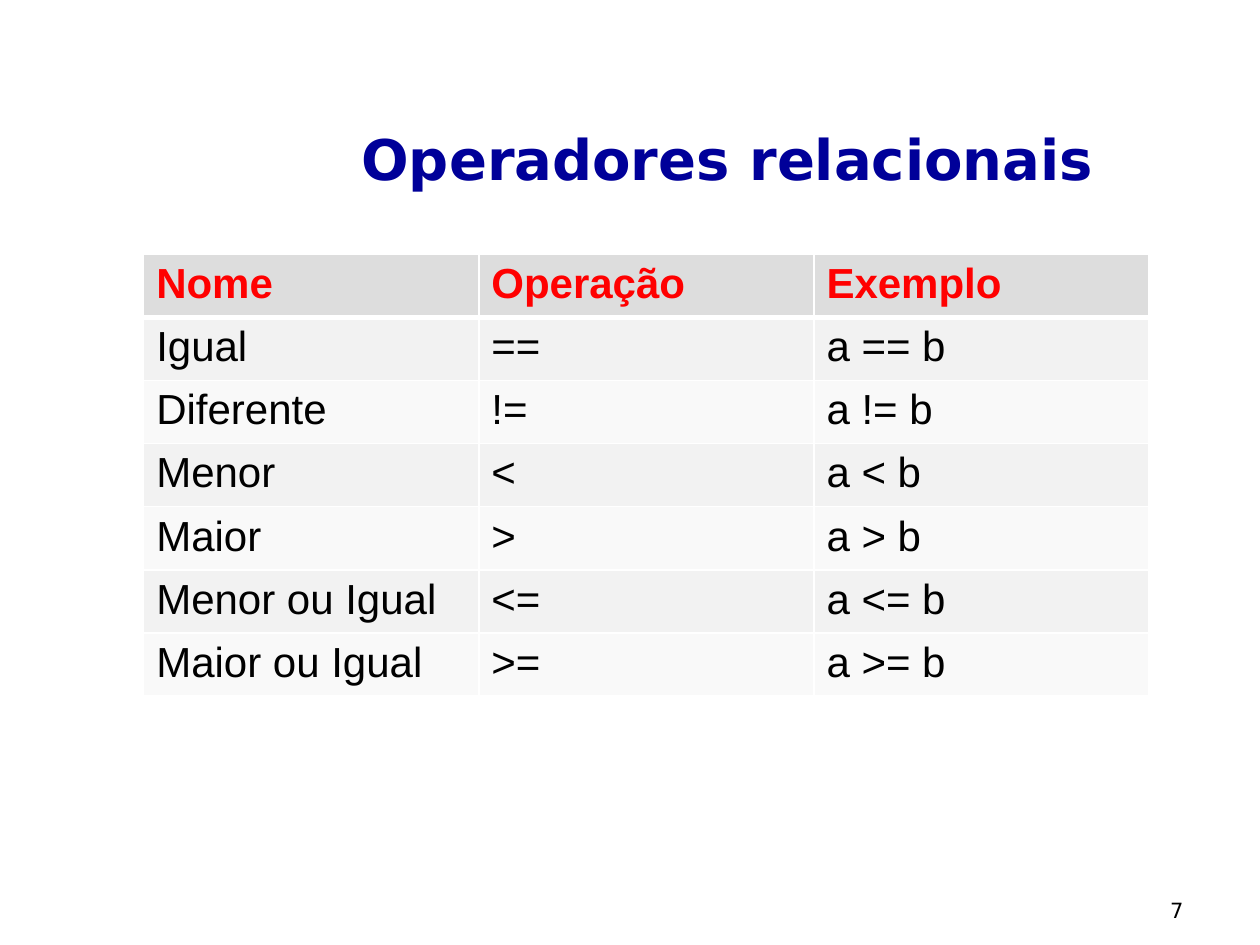
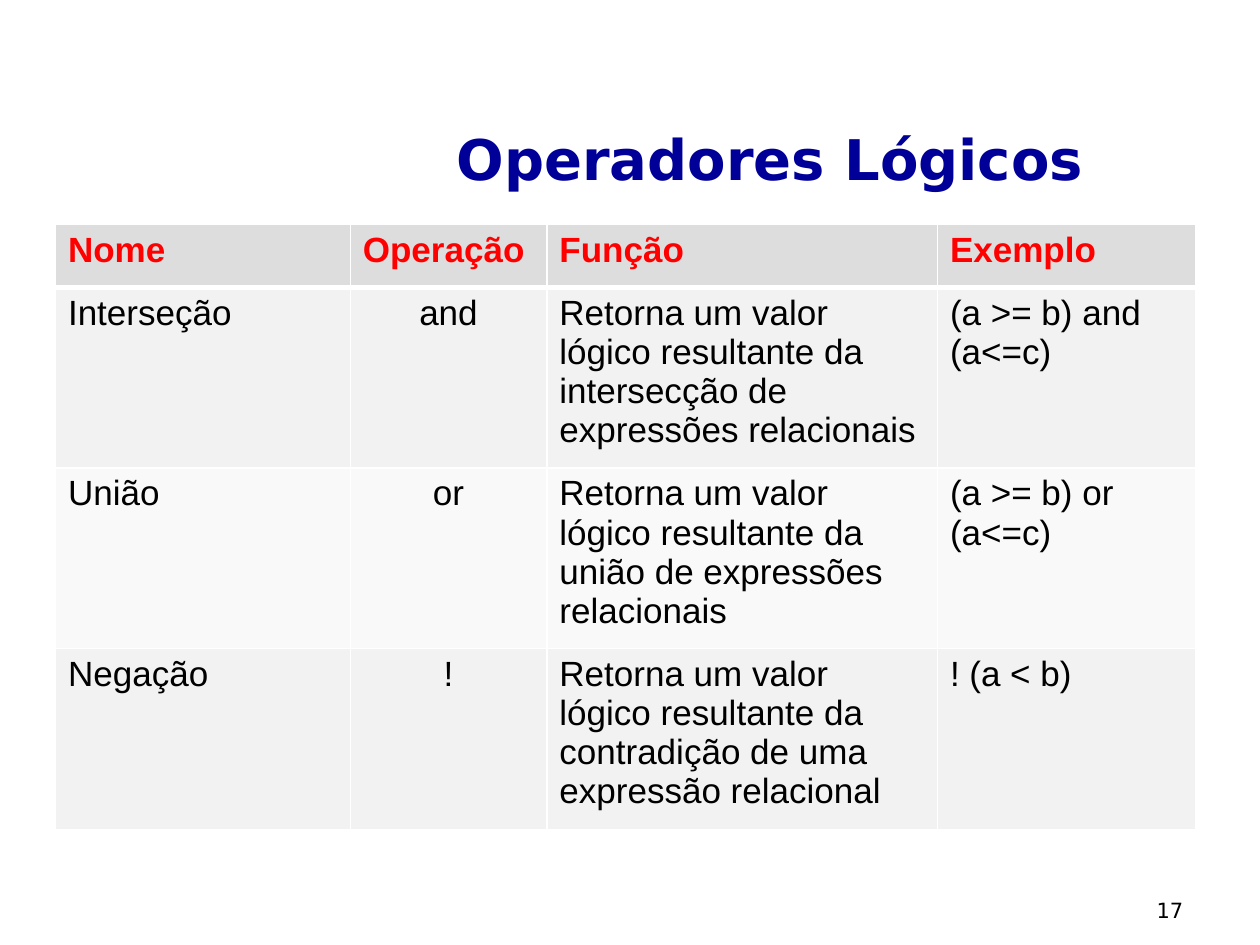
from lxml import etree
from pptx import Presentation
from pptx import util as u
from pptx.dml.color import RGBColor
from pptx.enum import text
from pptx.oxml.ns import qn

HUES = {"title": "000099", "head": "FF0000", "body": "000000", "rule": "FFFFFF",
        "top": "DDDDDD", "odd": "F2F2F2", "even": "F9F9F9"}
SANS, ARIAL = "DejaVu Sans", "Arial"
ALIGN = text.PP_ALIGN


def style(para, face, size, hue, bold=False):
    """Set the font of a paragraph."""
    font = para.font
    font.name, font.size, font.bold = face, u.Pt(size), bold
    font.color.rgb = RGBColor.from_string(HUES[hue])


def label(slide, box, words, size, hue, bold=False, space=None):
    """Add right-aligned text standing on the bottom of its box."""
    frame = slide.shapes.add_textbox(*map(u.Inches, box)).text_frame
    frame.word_wrap = True
    frame.vertical_anchor = text.MSO_ANCHOR.BOTTOM
    para = frame.paragraphs[0]
    para.text, para.alignment = words, ALIGN.RIGHT
    para.line_spacing = space
    style(para, SANS, size, hue, bold)


def border(cell, row):
    """Draw white cell edges, with a thick one under the header."""
    props = cell._tc.get_or_add_tcPr()
    thick = {"B": row == 0, "T": row == 1}
    for side in "LRTB":
        width = u.Pt(3 if thick.get(side) else 1)
        line = etree.SubElement(props, qn(f"a:ln{side}"), w=str(width))
        fill = etree.SubElement(line, qn("a:solidFill"))
        etree.SubElement(fill, qn("a:srgbClr"), val=HUES["rule"])


def grid(slide, left, top, widths, heights, rows, size, centred=None):
    """Add a banded table, centring one body column if asked."""
    box = map(u.Inches, (left, top, sum(widths), sum(heights)))
    table = slide.shapes.add_table(len(rows), len(widths), *box).table
    for col, width in zip(table.columns, widths):
        col.width = u.Inches(width)
    for r, (height, row) in enumerate(zip(heights, rows)):
        table.rows[r].height = u.Inches(height)
        band = "top" if r == 0 else "odd" if r % 2 else "even"
        for c, words in enumerate(row):
            cell = table.cell(r, c)
            border(cell, r)
            cell.fill.solid()
            cell.fill.fore_color.rgb = RGBColor.from_string(HUES[band])
            cell.text = words
            para = cell.text_frame.paragraphs[0]
            para.alignment = ALIGN.CENTER if r and c == centred else ALIGN.LEFT
            style(para, ARIAL, size, "body" if r else "head", r == 0)


def page(deck, title, width, number):
    """Add a slide with its title and page number."""
    slide = deck.slides.add_slide(deck.slide_layouts[6])
    label(slide, (1.5, 0.32, width, 1.25), title, 32, "title", True, 1.1)
    label(slide, (7.17, 6.87, 2.32, 0.5), str(number), 12, "body")
    return slide


def compare(deck):
    """Build the slide of relational operators."""
    slide = page(deck, "Operadores relacionais", 7.28, 7)
    pairs = [("Igual", "=="), ("Diferente", "!="), ("Menor", "<"), ("Maior", ">"),
             ("Menor ou Igual", "<="), ("Maior ou Igual", ">=")]
    rows = [("Nome", "Operação", "Exemplo")]
    rows += [(name, sign, f"a {sign} b") for name, sign in pairs]
    grid(slide, 1.14, 2.02, [2.66] * 3, [0.5] * len(rows), rows, 24)


def logic(deck):
    """Build the slide of logical operators."""
    slide = page(deck, "Operadores Lógicos", 7.2, 17)
    facts = [
        ("Interseção", "and", "intersecção de expressões relacionais", "(a >= b) and (a<=c)"),
        ("União", "or", "união de expressões relacionais", "(a >= b) or (a<=c)"),
        ("Negação", "!", "contradição de uma expressão relacional", "! (a < b)"),
    ]
    rows = [("Nome", "Operação", "Função", "Exemplo")]
    rows += [(name, sign, f"Retorna um valor lógico resultante da {role}", case)
             for name, sign, role, case in facts]
    grid(slide, 0.44, 1.78, [2.34, 1.56, 3.1, 2.05], [0.5] + [1.43] * 3, rows, 20, centred=1)


def main():
    """Build and save the deck."""
    deck = Presentation()
    deck.slide_width, deck.slide_height = u.Inches(10), u.Inches(7.5)
    compare(deck)
    logic(deck)
    deck.save("out.pptx")


if __name__ == "__main__":
    main()
